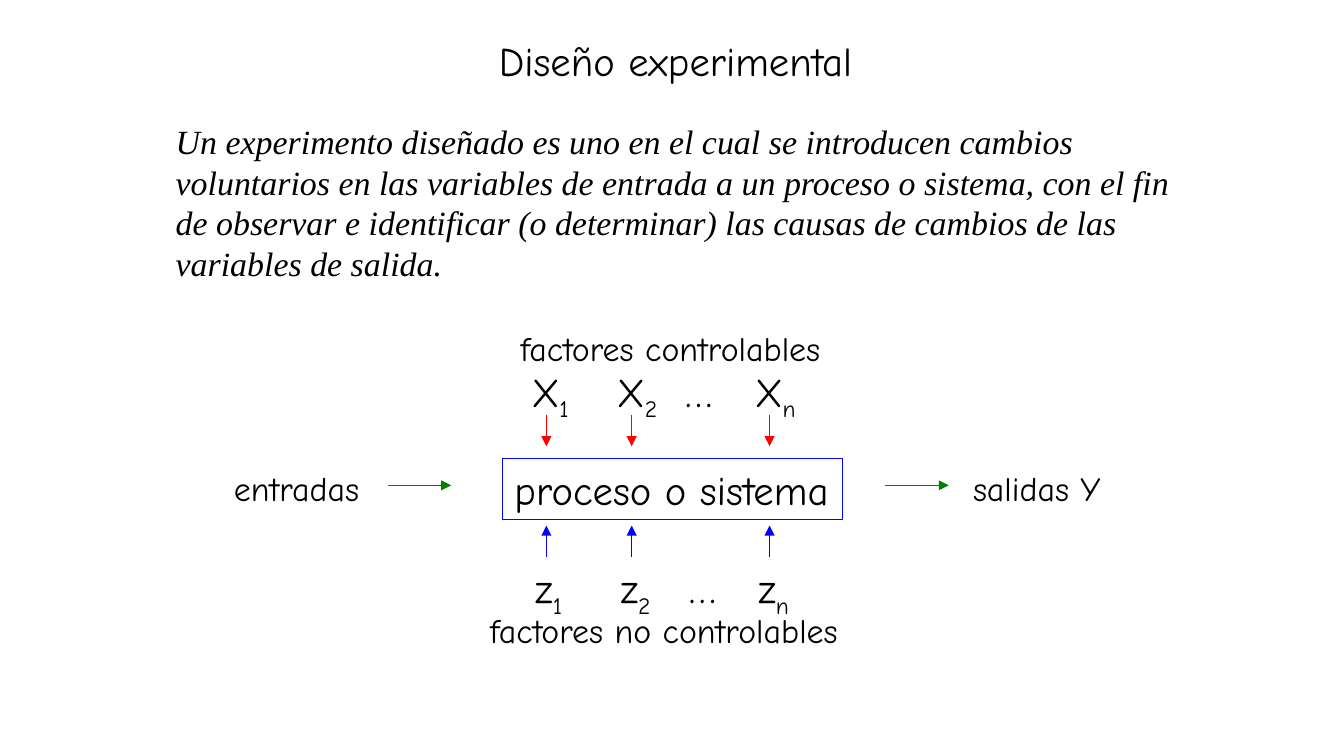
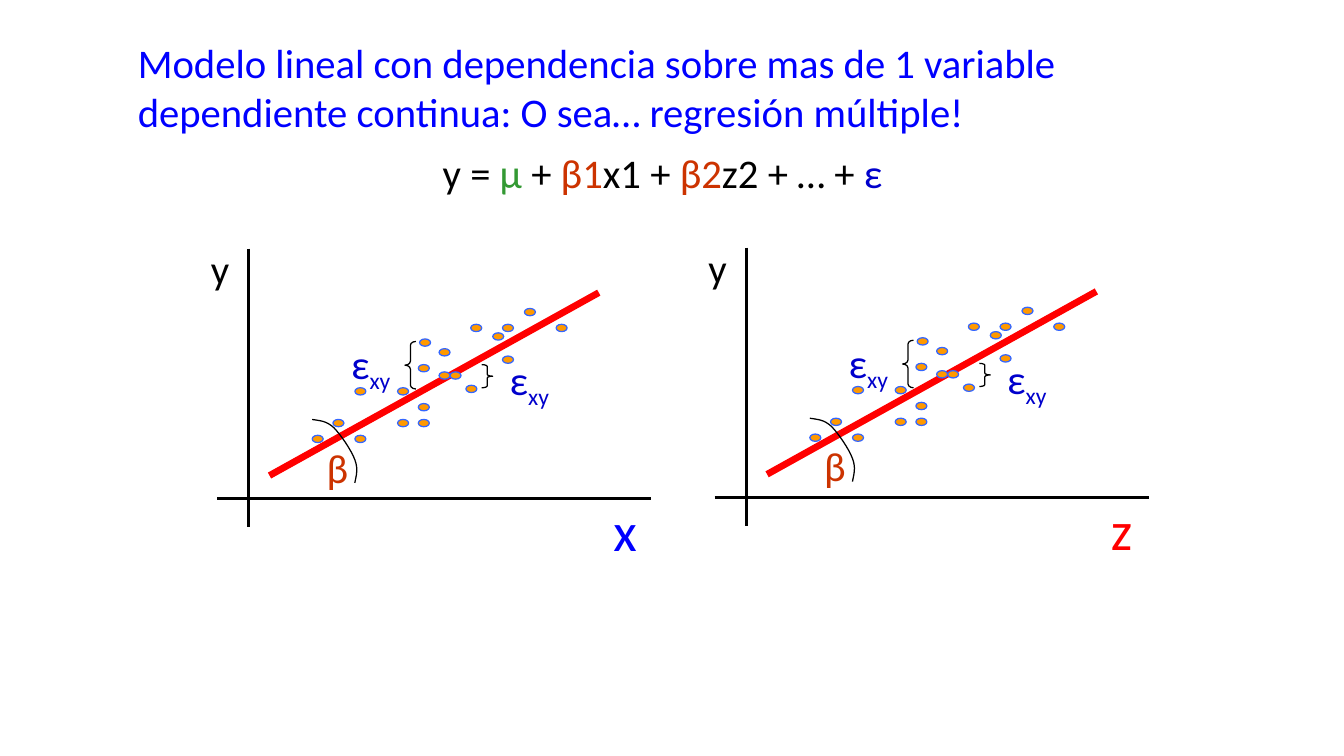
from lxml import etree
from pptx import Presentation
from pptx.dml.color import RGBColor
from pptx.enum.shapes import MSO_CONNECTOR, MSO_SHAPE
from pptx.enum.text import MSO_ANCHOR, MSO_AUTO_SIZE, PP_ALIGN
from pptx.oxml.ns import qn
from pptx.util import Inches, Pt

BLACK = RGBColor(0x00, 0x00, 0x00)
BLUE = RGBColor(0x00, 0x00, 0xFF)
NAVY = RGBColor(0x00, 0x00, 0xCC)
SKY = RGBColor(0x33, 0x66, 0xFF)
RED = RGBColor(0xFF, 0x00, 0x00)
RUST = RGBColor(0xCC, 0x33, 0x00)
GREEN = RGBColor(0x00, 0x80, 0x00)
LEAF = RGBColor(0x33, 0x99, 0x33)
AMBER = RGBColor(0xFF, 0x99, 0x00)

RECT, OVAL = MSO_SHAPE.RECTANGLE, MSO_SHAPE.OVAL
OPEN, CLOSE = MSO_SHAPE.LEFT_BRACE, MSO_SHAPE.RIGHT_BRACE
STRAIGHT = MSO_CONNECTOR.STRAIGHT
LEFT, TOP, FIXED = PP_ALIGN.LEFT, MSO_ANCHOR.TOP, MSO_AUTO_SIZE.NONE

CELL = 0.1
COLS, ROWS = 110.2, 62
HAND, SANS, SERIF = "Comic Neue", "Calibri", "Times New Roman"
THIN, MID, THICK = 0.75, 1.5, 4

DOTS = [
    (20.8, 8.8), (8.7, 15.3), (16.5, 10.1), (12.2, 11.4), (14, 7.4),
    (13.9, 14), (8.7, 11.4), (15.6, 10.1), (20, 6.9), (6.9, 14),
    (18.2, 6.2), (22.6, 4.9), (25.2, 6.2), (17.8, 11.2), (13.9, 9.5),
    (13.9, 12.7), (20.8, 6.2), (15.6, 8.2), (12.2, 14), (5.2, 15.3),
]
ARC = [
    (5.2, 14), (5.8, 14.1), (6.4, 14.1), (7, 14.7), (7.5, 15.2),
    (8.4, 16.5), (8.7, 17.3), (9, 18.1), (8.8, 18.6), (8.7, 19.2),
]


def put(item, values):
    for key, value in values.items():
        setattr(item, key, value)


def bend(points, steps=8):
    track = [points[0]]
    for i in range(0, len(points) - 1, 3):
        a, b, c, d = points[i:i + 4]
        for n in range(1, steps + 1):
            t = n / steps
            u = 1 - t
            track.append(tuple(
                u**3 * p + 3 * u * u * t * q + 3 * u * t * t * r + t**3 * s
                for p, q, r, s in zip(a, b, c, d)))
    return track


class Deck:
    """Hold the style and the current slide, placed on a grid of cells."""

    def __init__(self):
        self.show = Presentation()
        put(self.show, {"slide_width": Inches(COLS * CELL),
                        "slide_height": Inches(ROWS * CELL)})

    def page(self, font):
        layout = self.show.slide_layouts[1]
        self.slide = self.show.slides.add_slide(layout)
        self.font = font
        self.start(0, 0)

    def start(self, col, row):
        self.col, self.row = col, row

    def spot(self, col, row):
        return (Inches((self.col + col) * CELL),
                Inches((self.row + row) * CELL))

    def box(self, col, row, wide, high):
        return (*self.spot(col, row),
                Inches(wide * CELL), Inches(high * CELL))

    def label(self, shape, runs, size=24, wrap=False, **extra):
        frame = shape.text_frame
        put(frame, {"word_wrap": wrap, "auto_size": FIXED,
                    "vertical_anchor": TOP})
        para = frame.paragraphs[0]
        put(para, {"alignment": LEFT, "space_before": Pt(0)})
        look = {"size": Pt(size), "name": self.font, **extra}
        for text, color, low in runs:
            run = para.add_run()
            run.text = text
            put(run.font, look)
            run.font.color.rgb = color
            if low:
                run._r.get_or_add_rPr().set("baseline", "-25000")
        return para

    def hold(self, index, area, runs, **style):
        shape = self.slide.placeholders[index]
        put(shape, dict(zip(("left", "top", "width", "height"),
                            self.box(*area))))
        para = self.label(shape, runs, **style)
        if index:
            props = para._p.get_or_add_pPr()
            for key in ("marL", "indent"):
                props.set(key, "0")
            etree.SubElement(props, qn("a:buNone"))

    def text(self, area, word, color=BLACK, sub="", size=24):
        shape = self.slide.shapes.add_textbox(*self.box(*area))
        runs = [(word, color, False)]
        if sub:
            runs.append((sub, color, True))
        self.label(shape, runs, size)

    def trim(self, shape, color, fill=None):
        shape.shadow.inherit = False
        shape.line.width = Pt(THIN)
        shape.line.color.rgb = color
        if fill is None:
            shape.fill.background()
        else:
            shape.fill.solid()
            shape.fill.fore_color.rgb = fill

    def shape(self, kind, area, color, fill=None, bow=None):
        shape = self.slide.shapes.add_shape(kind, *self.box(*area))
        self.trim(shape, color, fill)
        if bow is not None:
            shape.adjustments[0] = bow
        return shape

    def line(self, begin, end, color, width=THIN, arrow=False):
        line = self.slide.shapes.add_connector(
            STRAIGHT, *self.spot(*begin), *self.spot(*end))
        line.line.color.rgb = color
        line.line.width = Pt(width)
        if arrow:
            edge = line.line._get_or_add_ln()
            etree.SubElement(edge, qn("a:tailEnd"), type="triangle")
        etree.SubElement(line._element.spPr, qn("a:effectLst"))

    def curve(self, points, color):
        track = [self.spot(*point) for point in bend(points)]
        pen = self.slide.shapes.build_freeform(*track[0])
        pen.add_line_segments(track[1:], close=False)
        self.trim(pen.convert_to_shape(), color)

    def plot(self, col, row, name, color):
        self.start(col, row)
        self.line((0, 0), (0, 22.8), BLACK, MID)
        self.line((-2.6, 20.5), (33, 20.5), BLACK, MID)
        self.line((1.7, 18.6), (28.7, 3.6), RED, THICK)
        for x, y in DOTS:
            self.shape(OVAL, (x, y, 0.9, 0.6), SKY, AMBER)
        self.text((-4.1, -0.9, 3.5, 5), "y")
        self.text((28.9, 19.9, 3.8, 6.4), name, color, size=32)
        self.curve(ARC, BLACK)
        self.text((5.4, 15.4, 3.7, 5), "β", RUST)
        self.shape(OPEN, (12.8, 7.6, 0.9, 3.9), BLACK, bow=0.36)
        self.shape(CLOSE, (19.1, 9.5, 0.9, 1.9), BLACK, bow=0.17)
        for x, y in ((20.4, 8.2), (7.4, 6.9)):
            self.text((x, y, 5.2, 5.6), "ε", NAVY, "xy")


def design(deck):
    deck.page(HAND)
    deck.hold(0, (39.9, 2.4, 31, 5), [("Diseño experimental", BLACK, False)])
    deck.font = SERIF
    deck.hold(1, (13.4, 9.4, 86.8, 14.4), [(
        "Un experimento diseñado es uno en el cual se introducen cambios "
        "voluntarios en las variables de entrada a un proceso o sistema, "
        "con el fin de observar e identificar (o determinar) las causas de "
        "cambios de las variables de salida.", BLACK, False)],
        size=20, wrap=True, italic=True)
    deck.font = HAND
    frame = deck.shape(RECT, (41.2, 37.6, 27.9, 5), BLUE)
    deck.label(frame, [("proceso o sistema", BLACK, False)])
    for sub, x in (("1", 44.8), ("2", 51.8), ("n", 63.1)):
        deck.text((x - 2.2, 29.6, 5.2, 5.6), "X", sub=sub)
        deck.text((x - 1.9, 45.7, 4.4, 5.6), "z", sub=sub)
        deck.line((x, 34), (x, 36.6), RED, arrow=True)
        deck.line((x, 45.7), (x, 43.1), BLUE, arrow=True)
    for x, y in ((55.2, 29.6), (55.5, 45.7)):
        deck.text((x, y, 4.2, 5), "…")
    for x in (31.8, 72.6):
        deck.line((x, 39.8), (x + 5.2, 39.8), GREEN, arrow=True)
    for x, y, wide, word in (
            (18.2, 37.9, 12.3, "entradas"),
            (78.8, 37.9, 12.5, "salidas Y"),
            (41.7, 26.4, 26.8, "factores controlables"),
            (39.2, 49.5, 30.8, "factores no controlables")):
        deck.text((x, y, wide, 4.4), word, size=20)


def model(deck):
    deck.page(SANS)
    deck.hold(0, (10.3, 2.6, 94.7, 9), [(
        "Modelo lineal con dependencia sobre mas de 1 variable dependiente "
        "continua: O sea… regresión múltiple!", BLUE, False)], wrap=True)
    terms = (("y = ", BLACK), ("µ", LEAF), (" + ", BLACK), ("β1", RUST),
             ("x1 +", BLACK), (" β2", RUST), ("z2 + … + ", BLACK),
             ("ε", NAVY))
    deck.hold(1, (35.3, 11.6, 54.5, 5),
              [(word, color, False) for word, color in terms], wrap=True)
    deck.plot(61.2, 20.3, "z", RED)
    deck.plot(20.4, 20.4, "x", BLUE)


def main():
    deck = Deck()
    design(deck)
    model(deck)
    deck.show.save("out.pptx")


if __name__ == "__main__":
    main()
